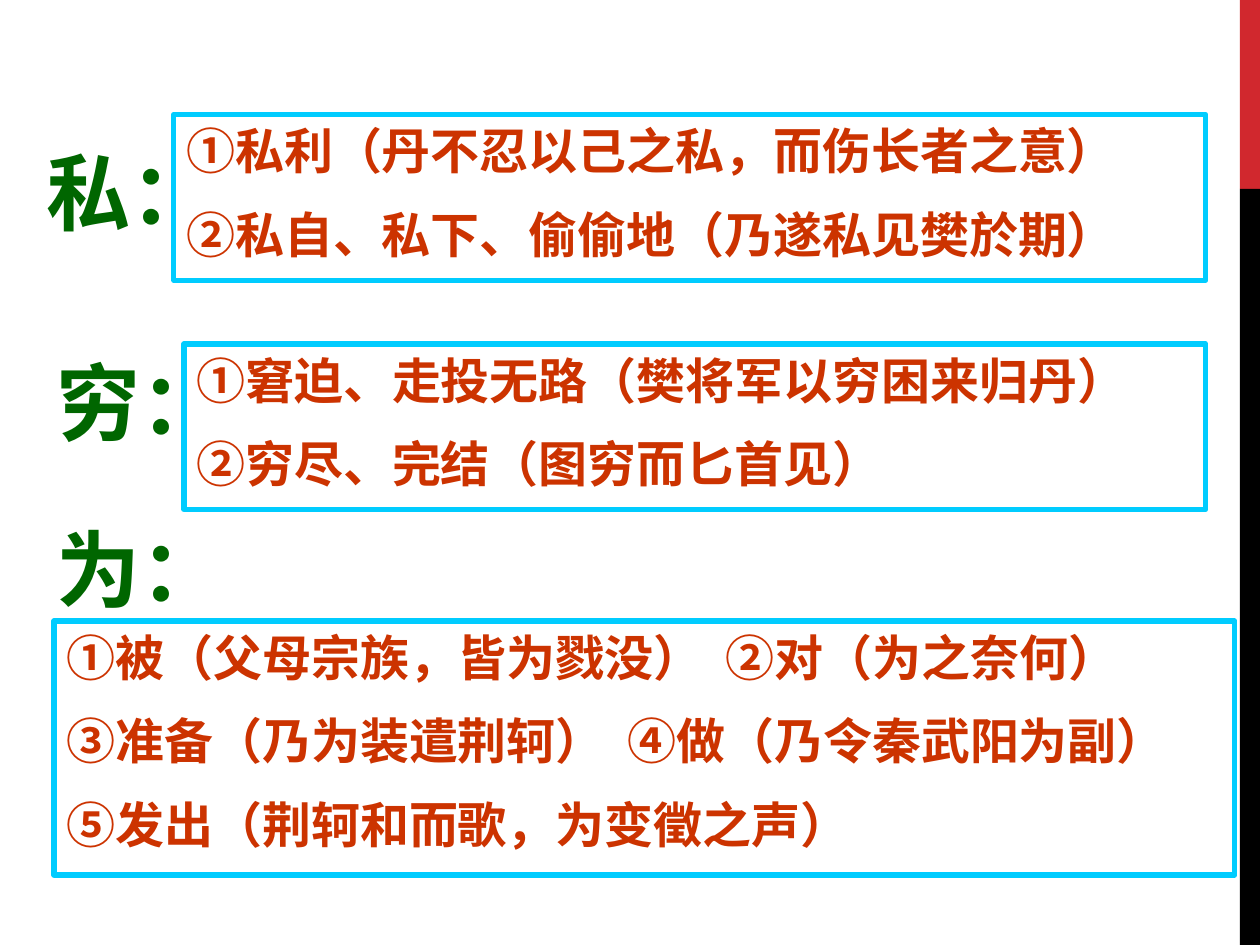
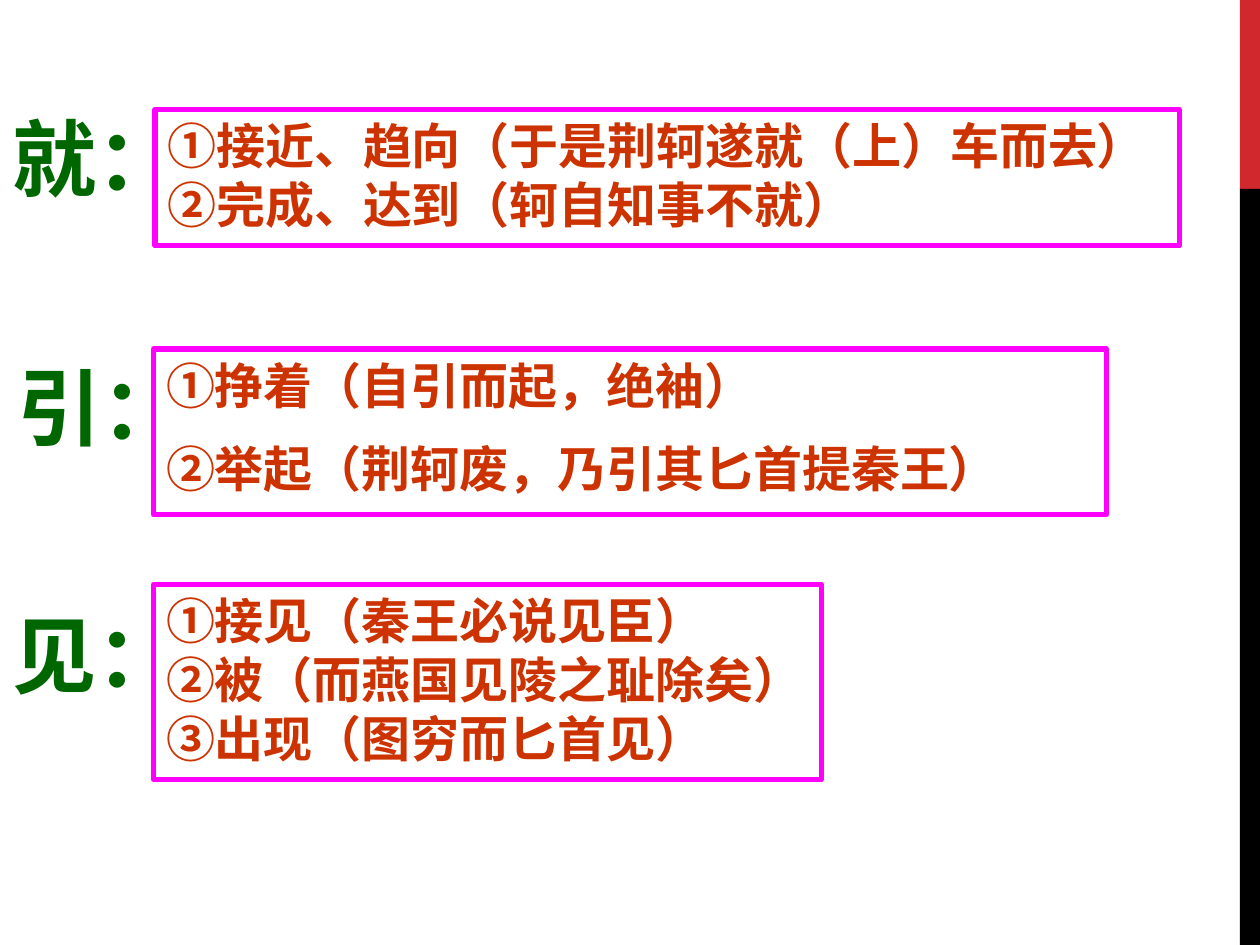
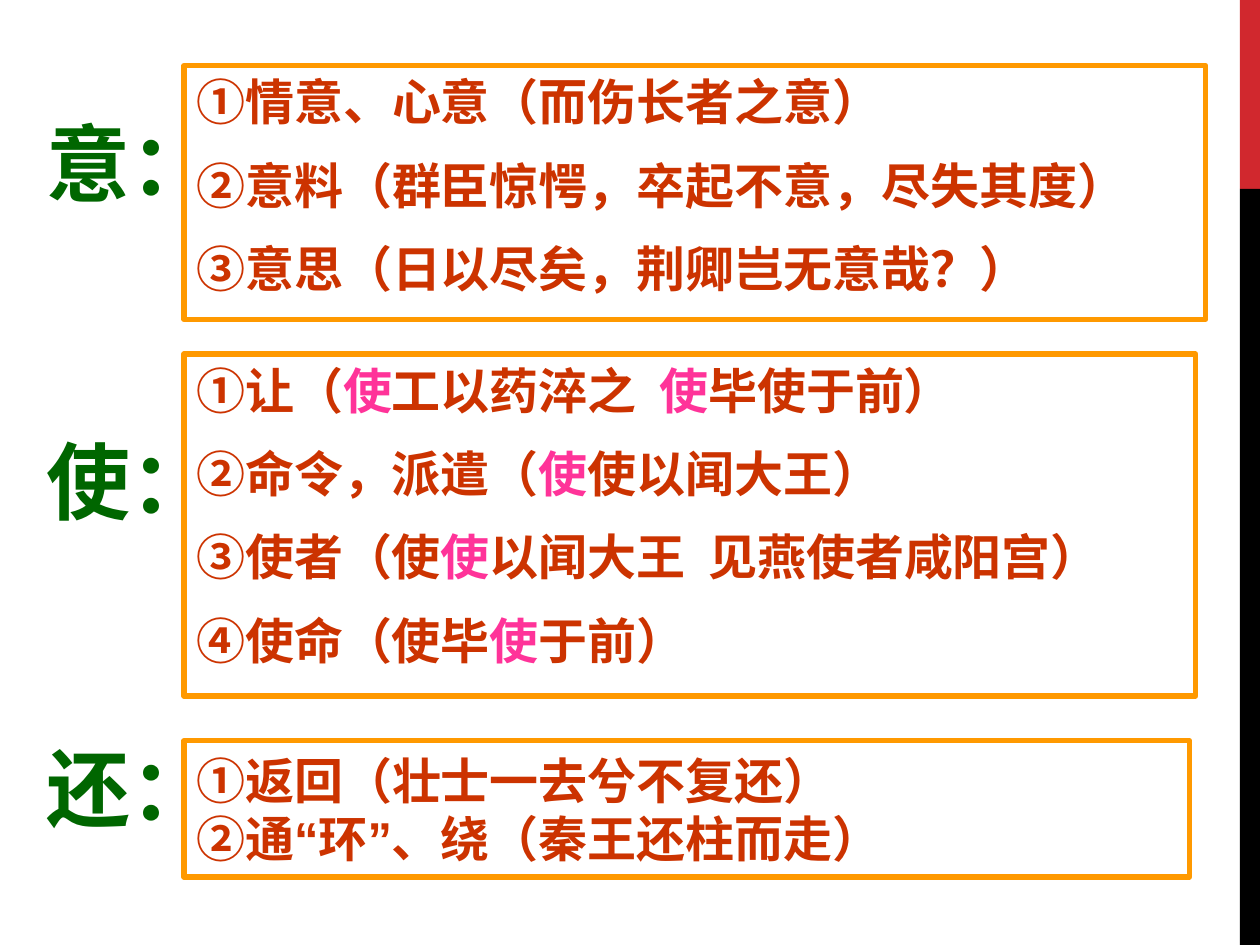
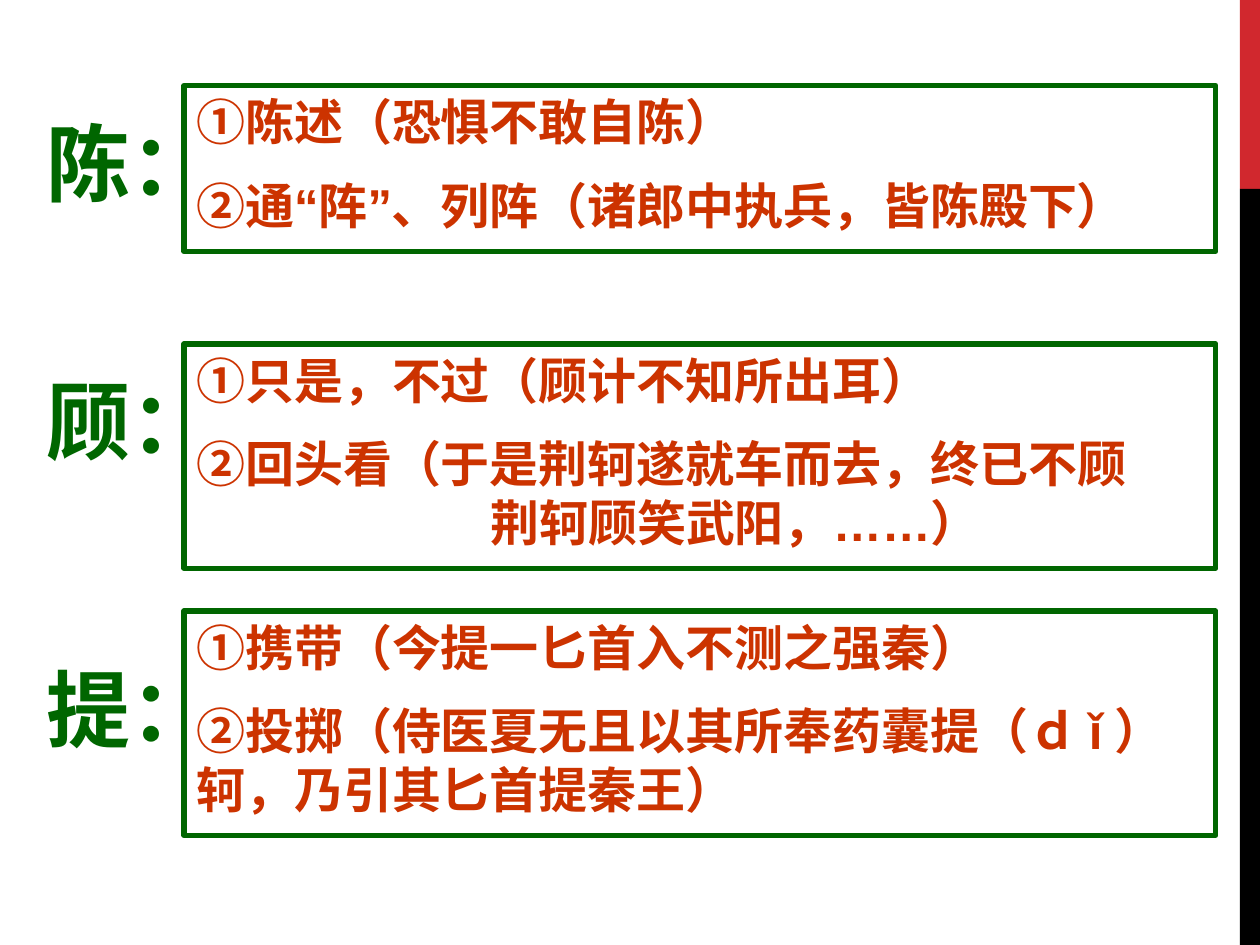
from dataclasses import dataclass
from math import ceil

from lxml.etree import SubElement
from pptx import Presentation
from pptx.dml.color import RGBColor
from pptx.enum.lang import MSO_LANGUAGE_ID as Lang
from pptx.enum.shapes import MSO_SHAPE as Shape
from pptx.enum.text import MSO_ANCHOR as Anchor, MSO_AUTO_SIZE as Fit, PP_ALIGN as Align
from pptx.oxml.ns import qn
from pptx.util import Inches, Pt

WIDE, HIGH = Inches(10), Inches(7.5)
COLS, ROWS = 100, 75
FONT = "Arial"
GREEN, RUST, PINK = "006600", "CC3300", "FF3399"
RED, BLACK = "D1282E", "000000"
SIZE = 28
CELL = SIZE / 7.2
PAD = 1
WORD = 15.4
BAND = 98.4


@dataclass
class Entry:
    word: str
    spot: tuple
    box: tuple
    lines: list
    span: float = WORD
    tight: bool = False
    mid: bool = False


def hue(code):
    return RGBColor.from_string(code)


def col(n):
    return round(WIDE * n / COLS)


def row(n):
    return round(HIGH * n / ROWS)


def place(x, y, w, h):
    return col(x), row(y), col(w), row(h)


def put(item, form):
    for name, value in form.items():
        setattr(item, name, value)


def style(run, size, tint):
    put(run.font, dict(name=FONT, size=Pt(size), bold=True,
                       language_id=Lang.SIMPLIFIED_CHINESE))
    run.font.color.rgb = hue(tint)
    SubElement(run.font._element, qn("a:ea"), typeface=FONT)


def frame(shape, wrap, anchor=Anchor.TOP):
    text = shape.text_frame
    put(text, dict(word_wrap=wrap, auto_size=Fit.SHAPE_TO_FIT_TEXT,
                   vertical_anchor=anchor))
    return text


def bare(line):
    return line.replace("*", "").lstrip(">")


def tab(para, line):
    props = para._p.get_or_add_pPr()
    stops = SubElement(props, qn("a:tabLst"))
    at = bare(line).index("\t") * CELL + 1.75
    SubElement(stops, qn("a:tab"), pos=str(col(at)), algn="l")


def write(para, line, gap):
    para.alignment = Align.LEFT
    if gap:
        para.space_before = Pt(SIZE / 2)
    if line.startswith(">"):
        para._p.get_or_add_pPr().set("marL", str(col(6 * CELL)))
    if "\t" in line:
        tab(para, line)
    for n, part in enumerate(line.lstrip(">").split("*")):
        run = para.add_run()
        run.text = part
        style(run, SIZE, PINK if n % 2 else RUST)


def label(slide, entry):
    box = slide.shapes.add_textbox(*place(*entry.spot, entry.span, 9))
    run = frame(box, entry.span > WORD).paragraphs[0].add_run()
    run.text = entry.word + "："
    style(run, 48, GREEN)


def panel(slide, entry, tint):
    x, y, w = entry.box
    fit = int((w - 2 * PAD) / CELL)
    rows = sum(ceil(len(bare(line)) / fit) for line in entry.lines)
    gaps = [n > 0 and not entry.tight and line[0] != ">"
            for n, line in enumerate(entry.lines)]
    high = 1.5 + 4.65 * rows + 2.35 * sum(gaps)
    box = slide.shapes.add_shape(Shape.RECTANGLE, *place(x, y, w, high))
    box.shadow.inherit = False
    box.fill.background()
    box.line.color.rgb = hue(tint)
    box.line.width = Pt(3)
    text = frame(box, True, Anchor.MIDDLE if entry.mid else Anchor.TOP)
    for n, (line, gap) in enumerate(zip(entry.lines, gaps)):
        write(text.add_paragraph() if n else text.paragraphs[0], line, gap)


def band(slide, top, high, tint):
    bar = slide.shapes.add_shape(
        Shape.RECTANGLE, *place(BAND, top, COLS - BAND, high))
    bar.shadow.inherit = False
    bar.fill.solid()
    bar.fill.fore_color.rgb = hue(tint)
    bar.line.fill.background()


def page(deck, tint, entries):
    slide = deck.slides.add_slide(deck.slide_layouts[6])
    band(slide, 0, ROWS / 5, RED)
    band(slide, ROWS / 5, ROWS * 4 / 5, BLACK)
    for entry in entries:
        panel(slide, entry, tint)
        label(slide, entry)


PAGES = [
    ("00CCFF", [
        Entry("私", (2.7, 10.7), (13.8, 9.1, 81.9), [
            "①私利（丹不忍以己之私，而伤长者之意）",
            "②私自、私下、偷偷地（乃遂私见樊於期）"]),
        Entry("穷", (3.5, 27.3), (14.6, 27.3, 81.1), [
            "①窘迫、走投无路（樊将军以穷困来归丹）",
            "②穷尽、完结（图穷而匕首见）"]),
        Entry("为", (3.5, 40.6), (4.3, 49.3, 93.7), [
            "①被（父母宗族，皆为戮没）\t②对（为之奈何）",
            "③准备（乃为装遣荆轲）\t④做（乃令秦武阳为副）",
            "⑤发出（荆轲和而歌，为变徵之声）"], span=18.9),
    ]),
    ("FF00FF", [
        Entry("就", (0, 8), (12.3, 8.7, 81.3), [
            "①接近、趋向（于是荆轲遂就（上）车而去）",
            "②完成、达到（轲自知事不就）"], tight=True),
        Entry("引", (0.4, 27.7), (12.2, 27.7, 75.6), [
            "①挣着（自引而起，绝袖）",
            "②举起（荆轲废，乃引其匕首提秦王）"]),
        Entry("见", (0, 47.4), (12.2, 46.4, 53), [
            "①接见（秦王必说见臣）",
            "②被（而燕国见陵之耻除矣）",
            "③出现（图穷而匕首见）"], tight=True),
    ]),
    ("FF9900", [
        Entry("意", (2.7, 8.4), (14.6, 5.2, 81.1), [
            "①情意、心意（而伤长者之意）",
            "②意料（群臣惊愕，卒起不意，尽失其度）",
            "③意思（日以尽矣，荆卿岂无意哉？）"]),
        Entry("使", (2.7, 33.6), (14.6, 28.1, 80.3), [
            "①让（*使*工以药淬之\t*使*毕使于前）",
            "②命令，派遣（*使*使以闻大王）",
            "③使者（使*使*以闻大王\t见燕使者咸阳宫）",
            "④使命（使毕*使*于前）"]),
        Entry("还", (2.7, 58), (14.6, 58.8, 79.8), [
            "①返回（壮士一去兮不复还）",
            "②通“环”、绕（秦王还柱而走）"], tight=True, mid=True),
    ]),
    (GREEN, [
        Entry("陈", (2.7, 8.4), (14.6, 6.8, 81.9), [
            "①陈述（恐惧不敢自陈）",
            "②通“阵”、列阵（诸郎中执兵，皆陈殿下）"]),
        Entry("顾", (2.7, 28.8), (14.6, 27.3, 81.9), [
            "①只是，不过（顾计不知所出耳）",
            "②回头看（于是荆轲遂就车而去，终已不顾",
            ">荆轲顾笑武阳，……）"]),
        Entry("提", (2.7, 51.7), (14.6, 48.5, 81.9), [
            "①携带（今提一匕首入不测之强秦）",
            "②投掷（侍医夏无且以其所奉药囊提（ｄǐ）轲，乃引其匕首提秦王）"]),
    ]),
]


def main():
    deck = Presentation()
    put(deck, dict(slide_width=WIDE, slide_height=HIGH))
    for tint, entries in PAGES:
        page(deck, tint, entries)
    deck.save("out.pptx")


if __name__ == "__main__":
    main()
